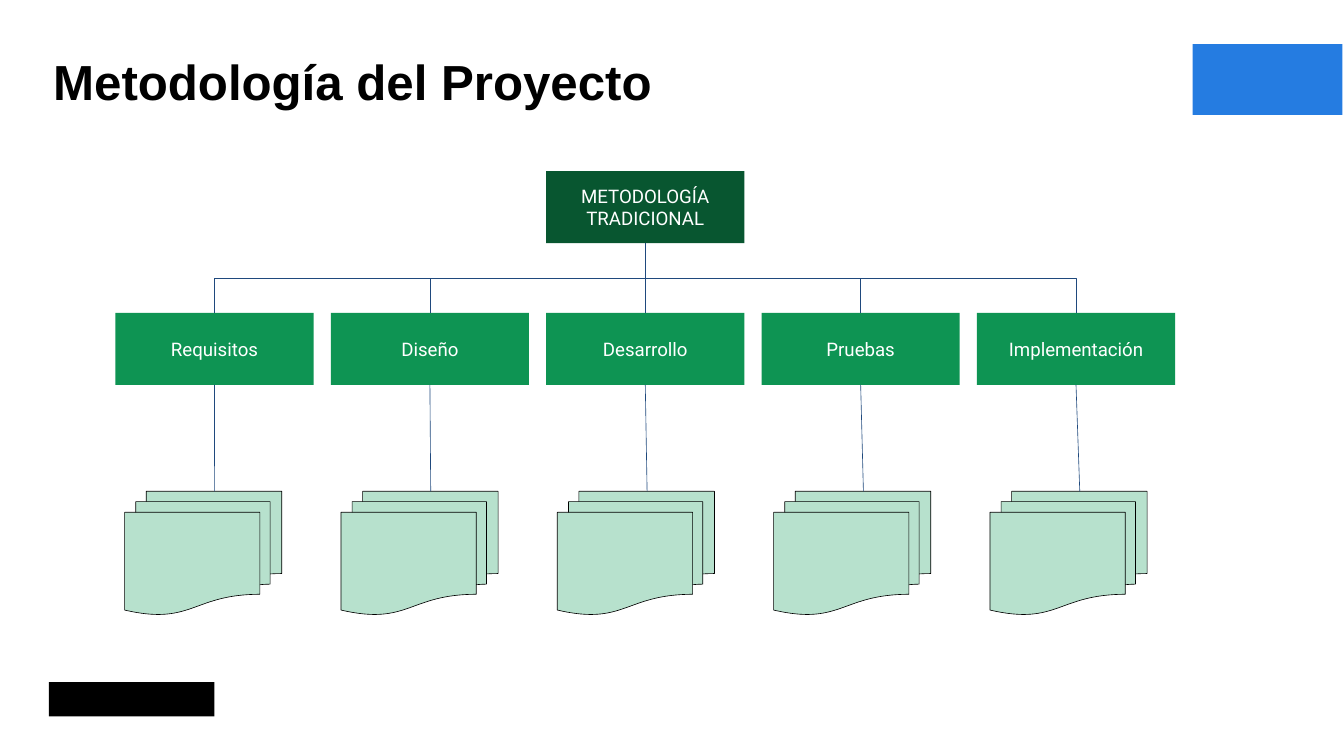
from lxml import etree
from pptx import Presentation
from pptx.dml.color import RGBColor
from pptx.enum.shapes import MSO_CONNECTOR, MSO_SHAPE
from pptx.enum.text import MSO_ANCHOR, MSO_AUTO_SIZE, PP_ALIGN
from pptx.oxml.ns import qn
from pptx.util import Cm, Pt

RECT, DOCS = MSO_SHAPE.RECTANGLE, MSO_SHAPE.FLOWCHART_MULTIDOCUMENT
LINE, ELBOW = MSO_CONNECTOR.STRAIGHT, MSO_CONNECTOR.ELBOW
TOP, MIDDLE = MSO_ANCHOR.TOP, MSO_ANCHOR.MIDDLE
LEFT, CENTER = PP_ALIGN.LEFT, PP_ALIGN.CENTER
NO_FIT = MSO_AUTO_SIZE.NONE

BLACK = RGBColor(0x00, 0x00, 0x00)
WHITE = RGBColor(0xFF, 0xFF, 0xFF)
BLUE = RGBColor(0x25, 0x7C, 0xE1)
NAVY = RGBColor(0x1F, 0x49, 0x7D)
FOREST = RGBColor(0x08, 0x56, 0x30)
GREEN = RGBColor(0x0E, 0x94, 0x53)
MINT = RGBColor(0xB7, 0xE1, 0xCD)

STAGES = ["Requisitos", "Diseño", "Desarrollo", "Pruebas", "Implementación"]
BOX_W, BOX_H, BOX_STEP = 8.23, 3, 8.95
DOC_W, DOC_H, DOC_STEP = 6.53, 5.13, 8.99
ROOT_TOP, STAGE_TOP, DOC_TOP = 0, 5.89, 13.31
DOC_LEFT, DOC_PIN = 0.38, 3.73

HEAD_FONT = {"name": "Arial", "size": Pt(58), "bold": True}
BOX_FONT = {"name": "Roboto", "size": Pt(22), "bold": False}
HEAD_FRAME = {"margin": 0, "anchor": TOP}
BOX_FRAME = {"margin": Cm(0.56), "anchor": MIDDLE}


def apply(target, values):
    """Set each named attribute on the target."""
    for name, value in values.items():
        setattr(target, name, value)


def write(shape, text, font, color, frame, align):
    """Put formatted text into a shape."""
    body = shape.text_frame
    body.text = text
    sides = {f"margin_{side}": frame["margin"]
             for side in ("left", "top", "right", "bottom")}
    apply(body, {**sides, "vertical_anchor": frame["anchor"],
                 "word_wrap": True, "auto_size": NO_FIT})
    for para in body.paragraphs:
        para.alignment = align
        apply(para.font, font)
        para.font.color.rgb = color


def add_block(slide, kind, box, fill, edge=None):
    """Add a flat shape with an optional outline."""
    shape = slide.shapes.add_shape(kind, *map(Cm, box))
    shape.shadow.inherit = False
    shape.fill.solid()
    shape.fill.fore_color.rgb = fill
    if edge is None:
        shape.line.fill.background()
    else:
        shape.line.color.rgb = edge
        shape.line.width = Pt(0.75)
    return shape


def add_link(slide, kind, start, end):
    """Add a thin navy connector."""
    link = slide.shapes.add_connector(kind, *map(Cm, (*start, *end)))
    link.line.color.rgb = NAVY
    link.line.width = Pt(0.75)
    etree.SubElement(link._element.spPr, qn("a:effectLst"))
    return link


def add_branch(slide, root, stage, start, end):
    """Join the root to a stage with a bend halfway down."""
    run, drop = end[0] - start[0], end[1] - start[1]
    level = abs(run) < 0.01
    link = add_link(slide, LINE if level else ELBOW, start, end)
    link.begin_connect(root, 2)
    link.end_connect(stage, 0)
    if level:
        return
    mid_x, mid_y = start[0] + run / 2, start[1] + drop / 2
    span = abs(run)
    apply(link, {"left": Cm(mid_x - drop / 2), "top": Cm(mid_y - span / 2),
                 "width": Cm(drop), "height": Cm(span)})
    frame = link._element.spPr.find(qn("a:xfrm"))
    frame.attrib.clear()
    frame.set("rot", "5400000" if run < 0 else "16200000")
    if run > 0:
        frame.set("flipH", "1")


def add_header(slide, box):
    """Place the title and the blue tab at the right edge."""
    left, top, width, height = box
    title = slide.shapes.title
    apply(title, {"left": Cm(left), "top": Cm(top + 0.3),
                  "width": Cm(46.63), "height": Cm(height - 0.46)})
    write(title, "Metodología del Proyecto", HEAD_FONT, BLACK, HEAD_FRAME, LEFT)
    add_block(slide, RECT, (left + width - 6.22, top, 6.22, height), BLUE)


def add_tree(slide, box):
    """Draw the root, its stages and their documents."""
    left, top, width, _ = box
    center = left + width / 2
    root = add_block(slide, RECT,
                     (center - BOX_W / 2, top + ROOT_TOP, BOX_W, BOX_H), FOREST)
    write(root, "METODOLOGÍA\nTRADICIONAL", BOX_FONT, WHITE, BOX_FRAME, CENTER)
    row, shelf = top + STAGE_TOP, top + DOC_TOP
    for index, name in enumerate(STAGES):
        x = left + index * BOX_STEP
        middle = x + BOX_W / 2
        stage = add_block(slide, RECT, (x, row, BOX_W, BOX_H), GREEN)
        write(stage, name, BOX_FONT, WHITE, BOX_FRAME, CENTER)
        add_branch(slide, root, stage,
                   (center, top + ROOT_TOP + BOX_H), (middle, row))
        sheet = left + DOC_LEFT + index * DOC_STEP
        add_block(slide, DOCS, (sheet, shelf, DOC_W, DOC_H), MINT, BLACK)
        add_link(slide, LINE, (middle, row + BOX_H), (sheet + DOC_PIN, shelf))


def add_footer(slide, box):
    """Place a plain block at the bottom left."""
    add_block(slide, RECT, box, BLACK)


def main():
    """Build and save the slide."""
    deck = Presentation()
    apply(deck, {"slide_width": Cm(55.85), "slide_height": Cm(31.42)})
    slide = deck.slides.add_slide(deck.slide_layouts[5])
    add_header(slide, (2.21, 1.83, 53.57, 2.95))
    add_tree(slide, (4.8, 7.11, 4 * BOX_STEP + BOX_W, 18.44))
    add_footer(slide, (2.03, 28.35, 6.88, 1.42))
    deck.save("out.pptx")


if __name__ == "__main__":
    main()
